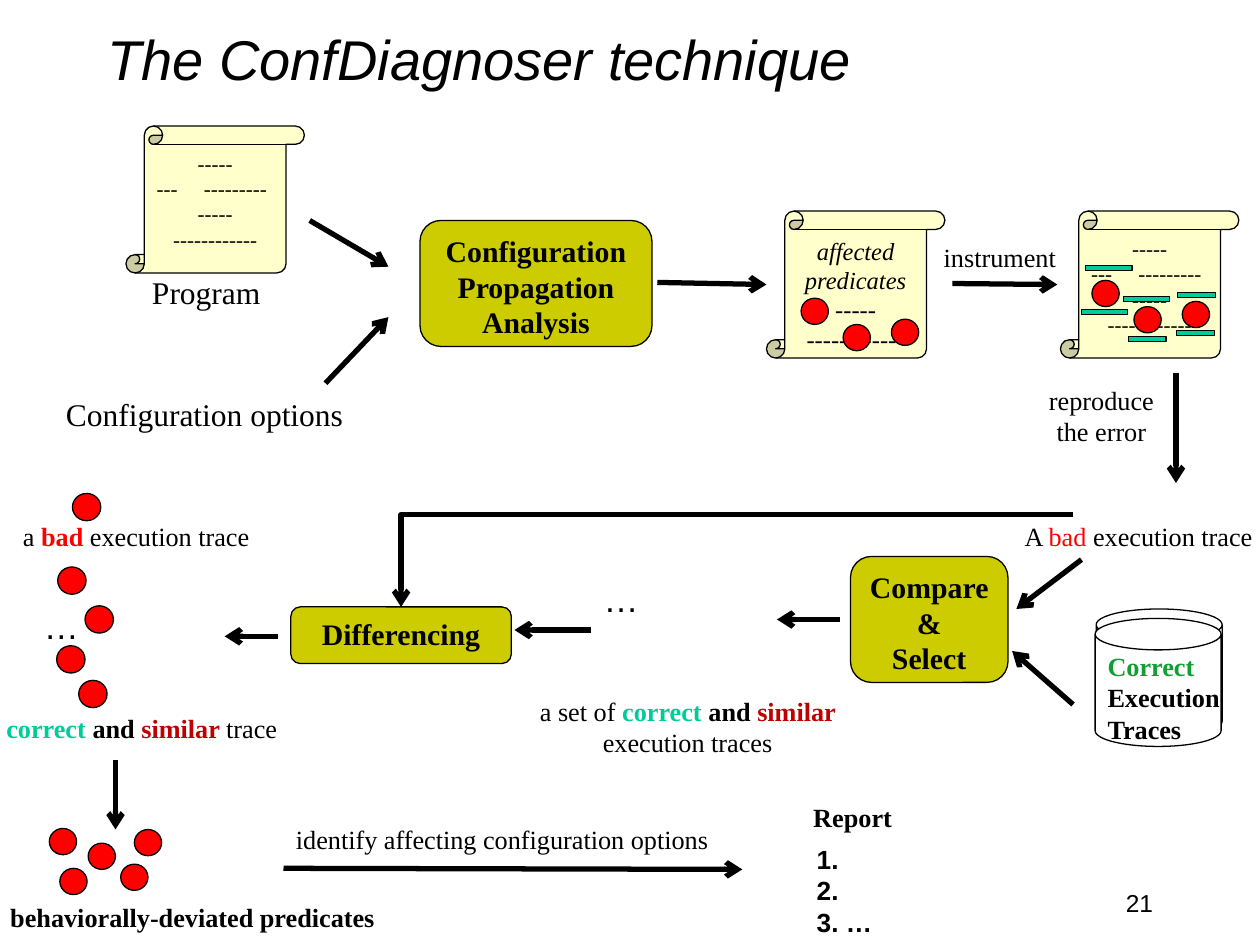
"""Build the ConfDiagnoser technique slide on a grid of 120 columns by 90 rows."""
from dataclasses import dataclass
from typing import NamedTuple

from lxml import etree
from pptx import Presentation
from pptx.dml.color import RGBColor
from pptx.enum.shapes import MSO_CONNECTOR, MSO_SHAPE
from pptx.enum.text import MSO_ANCHOR, PP_ALIGN
from pptx.oxml.ns import qn
from pptx.util import Inches, Pt

LEFT, CENTER, RIGHT = PP_ALIGN.LEFT, PP_ALIGN.CENTER, PP_ALIGN.RIGHT
TOP, MIDDLE = MSO_ANCHOR.TOP, MSO_ANCHOR.MIDDLE
OVAL, MINUS, CAN = MSO_SHAPE.OVAL, MSO_SHAPE.MATH_MINUS, MSO_SHAPE.CAN
SCROLL, ROUNDED = MSO_SHAPE.VERTICAL_SCROLL, MSO_SHAPE.ROUNDED_RECTANGLE
STRAIGHT, ELBOW = MSO_CONNECTOR.STRAIGHT, MSO_CONNECTOR.ELBOW
SERIF, SANS = "Times New Roman", "Arial"
BLACK, WHITE, RED, DARK_RED = "000000", "FFFFFF", "FF0000", "C00000"
TEAL, GREEN, CREAM, OLIVE = "00CC99", "119F33", "FFFFCC", "CCCC00"
WIDTH, HEIGHT, COLS, ROWS = Inches(10), Inches(7.5), 120, 90


class Box(NamedTuple):
    """Left, top, width and height in grid cells."""
    x: float
    y: float
    w: float
    h: float


class Run(NamedTuple):
    """A piece of text with its colour and weight."""
    text: str
    color: str = BLACK
    bold: bool = False


@dataclass
class Text:
    """Paragraphs of runs that share a size, font and alignment."""
    paragraphs: list[list[Run]]
    size: float = 15
    align: PP_ALIGN = LEFT
    font: str = SERIF
    italic: bool = False


class Arrow(NamedTuple):
    """Start and end of an arrow in grid cells."""
    x1: float
    y1: float
    x2: float
    y2: float
    kind: MSO_CONNECTOR = STRAIGHT


def lines(*texts: str, bold: bool = False) -> list[list[Run]]:
    """Turn plain strings into one-run paragraphs."""
    return [[Run(t, bold=bold)] for t in texts]


def col(n: float) -> int:
    """Return a length of n columns."""
    return round(n * WIDTH / COLS)


def row(n: float) -> int:
    """Return a length of n rows."""
    return round(n * HEIGHT / ROWS)


def place(box: Box) -> tuple[int, int, int, int]:
    """Return a box as slide lengths."""
    return col(box.x), row(box.y), col(box.w), row(box.h)


def paint(fmt, color: str) -> None:
    """Give a fill a solid colour."""
    fmt.solid()
    fmt.fore_color.rgb = RGBColor.from_string(color)


def write(tf, text: Text, anchor: MSO_ANCHOR = TOP) -> None:
    """Fill a text frame run by run."""
    tf.word_wrap, tf.vertical_anchor = True, anchor
    for i, runs in enumerate(text.paragraphs):
        p = tf.paragraphs[0] if i == 0 else tf.add_paragraph()
        p.alignment = text.align
        if any("\t" in run.text for run in runs):
            p.alignment = LEFT
            tabs = etree.SubElement(p._p.get_or_add_pPr(), qn("a:tabLst"))
            etree.SubElement(tabs, qn("a:tab"), pos=str(col(4.5)), algn="l")
        for run in runs:
            r = p.add_run()
            r.text = run.text
            f = r.font
            f.name, f.size = text.font, Pt(text.size)
            f.bold, f.italic = run.bold, text.italic
            paint(f.fill, run.color)


def add_label(s, box: Box, text: Text) -> None:
    """Add a text box."""
    write(s.shapes.add_textbox(*place(box)).text_frame, text)


def add_figure(s, kind: MSO_SHAPE, box: Box, color: str | None, text: Text | None = None):
    """Add a thinly outlined preset shape."""
    sp = s.shapes.add_shape(kind, *place(box))
    sp.shadow.inherit = False
    sp.line.width = Pt(0.75)
    paint(sp.line.fill, BLACK)
    if color:
        paint(sp.fill, color)
    else:
        sp.fill.background()
    if text:
        write(sp.text_frame, text)
    return sp


def add_dots(s, x: float, y: float, w: float, h: float, spots: list[tuple[float, float]]) -> None:
    """Add red dots at offsets from a point."""
    for dx, dy in spots:
        add_figure(s, OVAL, Box(x + dx, y + dy, w, h), RED)


def add_arrow(s, arrow: Arrow) -> None:
    """Add a thick arrow, with one bend if it is an elbow."""
    sp = s.shapes.add_connector(arrow.kind, col(arrow.x1), row(arrow.y1), col(arrow.x2), row(arrow.y2))
    if arrow.kind == ELBOW:
        sp._element.spPr.find(qn("a:prstGeom")).set("prst", "bentConnector2")
    sp.line.width = Pt(3)
    paint(sp.line.fill, BLACK)
    etree.SubElement(sp.line._get_or_add_ln(), qn("a:tailEnd"), type="arrow")
    etree.SubElement(sp._element.spPr, qn("a:effectLst"))


CODE = Text(lines("-----", "---\t---------", "-----", "------------"), 12, CENTER, italic=True)
AFFECTED = Text(lines("affected predicates", "-----", "------------"), 14, CENTER, italic=True)
SCROLLS = [(12, 12, CODE), (73, 20.1, AFFECTED), (101, 20.1, CODE)]
PREDICATES = [(0, 0), (4.6, -0.5), (-4, -2.5)]
TRACE_DOTS = [(5.5, 54), (5.4, 61.5), (8.1, 57.7), (6.9, 47), (7.5, 64.8)]
DEVIATED_DOTS = [(4.7, 78.9), (8.4, 80.3), (12.8, 79), (5.7, 82.7), (11.5, 82.3)]
PROBES = [(102.6, 24.5, 6), (102.2, 28.7, 6), (106.2, 27.5, 6),
          (106.8, 31.3, 4.9), (111.5, 27.1, 4.9), (111.4, 30.7, 4.9)]
STEPS = [(Box(40, 21, 22.1, 12), ("Configuration Propagation", "Analysis")),
         (Box(81, 53, 15, 12), ("Compare", "&", "Select")),
         (Box(27.7, 57.8, 21, 5.4), ("Differencing",))]
ARROWS = [Arrow(29.5, 21, 37, 25.4), Arrow(31, 36.5, 37, 30.2), Arrow(62.6, 26.9, 73, 27.1),
          Arrow(90.7, 27, 100.7, 27.1), Arrow(112, 35.5, 112, 46), Arrow(103, 53.3, 96.8, 58),
          Arrow(102.2, 67.1, 96.4, 62), Arrow(80, 59, 74, 59), Arrow(56.3, 60, 49, 60),
          Arrow(26.5, 60.6, 21.4, 60.6), Arrow(11, 72.4, 11, 79), Arrow(27, 82.7, 70.7, 82.8),
          Arrow(102.2, 49, 38.2, 57.8, ELBOW)]
SIMILAR = [Run("correct ", TEAL, True), Run("and ", BLACK, True), Run("similar ", DARK_RED, True)]
ELLIPSIS = Text(lines("…"), 20, font=SANS)
LABELS = [
    (Box(86, 84, 25, 6), Text(lines("21"), 14, RIGHT, SANS)),
    (Box(13.3, 25.4, 13.5, 4.8), Text(lines("Program"), 18)),
    (Box(5.1, 37, 36, 4.8), Text(lines("Configuration options"), 18)),
    (Box(96.4, 49, 29.3, 4.2), Text([[Run("A "), Run("bad", RED), Run(" execution trace")]])),
    (Box(88.7, 22.4, 16.3, 4.2), Text(lines("instrument"))),
    (Box(85.8, 36, 38.2, 7.3), Text(lines("reproduce", "the error"), align=CENTER)),
    (Box(47, 65.6, 37, 7.3), Text([[Run("a set of "), *SIMILAR, Run("execution traces")]], align=CENTER)),
    (Box(56.3, 54.4, 14, 5.3), ELLIPSIS),
    (Box(3, 57, 14, 5.3), ELLIPSIS),
    (Box(-5, 67.2, 37, 4.2), Text([[*SIMILAR, Run("trace")]], align=CENTER)),
    (Box(1, 49, 37, 4.2), Text([[Run("a "), Run("bad", RED, True), Run(" execution trace")]])),
    (Box(-5.3, 85.2, 47.3, 4.2), Text(lines("behaviorally-deviated predicates", bold=True), align=CENTER)),
    (Box(76.6, 79.7, 13.7, 10.3), Text(lines("1.", "2.", "3. …", bold=True), font=SANS)),
    (Box(74.2, 75.7, 14, 4.2), Text(lines("Report", bold=True), align=CENTER)),
    (Box(27, 77.8, 44, 4.2), Text(lines("identify affecting configuration options"))),
]
STORE = Text([[Run("Correct", GREEN, True)], *lines("Execution", "Traces", bold=True)])


def main() -> None:
    """Build and save the slide."""
    prs = Presentation()
    prs.slide_width, prs.slide_height = WIDTH, HEIGHT
    s = prs.slides.add_slide(prs.slide_layouts[5])
    title = s.shapes.title
    title.left, title.top, title.width, title.height = place(Box(9, -2, 108, 15))
    write(title.text_frame, Text(lines("The ConfDiagnoser technique"), 32, font=SANS, italic=True), MIDDLE)
    for x, y, text in SCROLLS:
        add_figure(s, SCROLL, Box(x, y, 17, 14), CREAM, text)
    for x, y in [(80.3, 30.9), (108, 29.2)]:
        add_dots(s, x, y, 2.6, 2.5, PREDICATES)
    for x, y, w in PROBES:
        add_figure(s, MINUS, Box(x, y, w, 2), TEAL)
    for box, words in STEPS:
        add_figure(s, ROUNDED, box, OLIVE, Text(lines(*words, bold=True), 17, CENTER))
    for arrow in ARROWS:
        add_arrow(s, arrow)
    add_figure(s, CAN, Box(104.4, 58, 12, 12.2), None)
    tf = add_figure(s, CAN, Box(104.3, 58.9, 12, 12.2), WHITE, STORE).text_frame
    tf.word_wrap = False
    tf.margin_top = tf.margin_right = tf.margin_bottom = 0
    for box, text in LABELS:
        add_label(s, box, text)
    add_dots(s, 0, 0, 2.7, 2.6, TRACE_DOTS)
    add_dots(s, 0, 0, 2.6, 2.5, DEVIATED_DOTS)
    prs.save("out.pptx")


if __name__ == "__main__":
    main()
